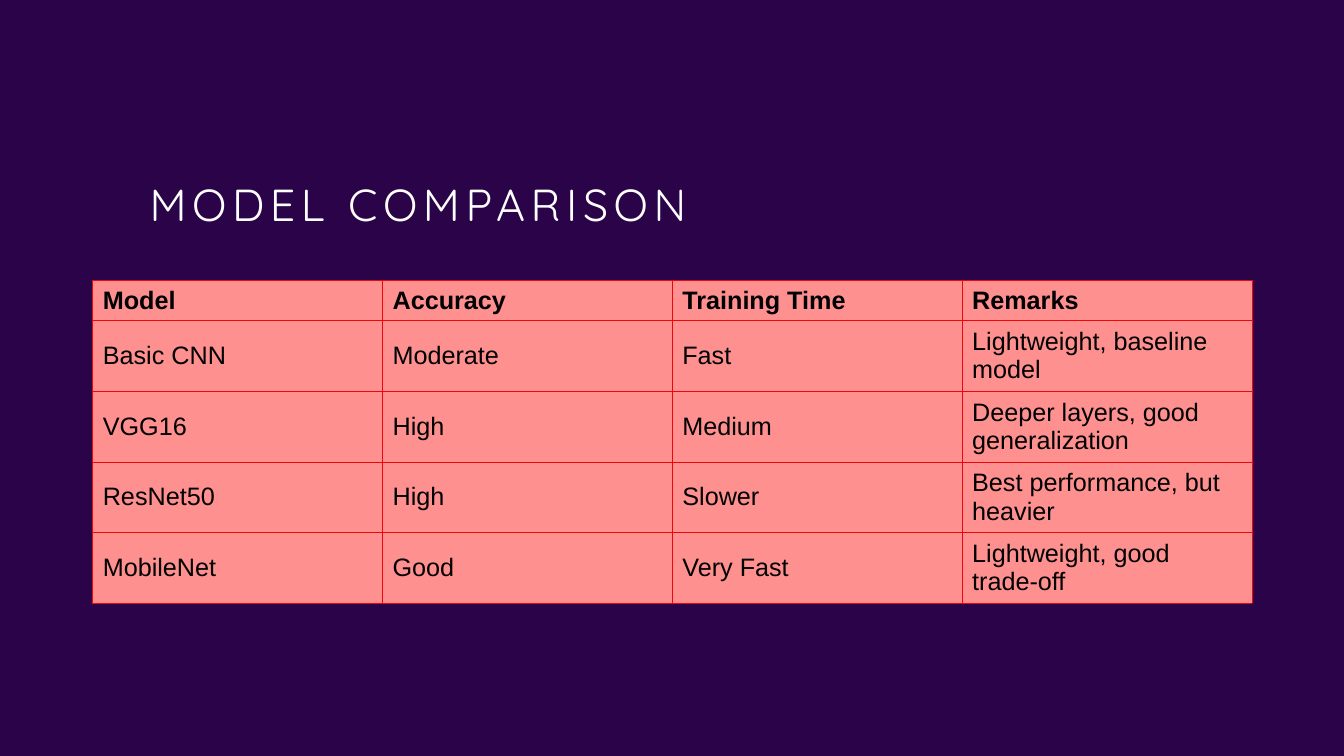
import dataclasses
import pptx
import pptx.dml.color
import pptx.enum.text
import pptx.oxml
import pptx.oxml.ns
import pptx.util

Pt = pptx.util.Pt


@dataclasses.dataclass
class Row:
    model: str
    score: str
    time: str
    note: str
    high: float = 47.45
    bold: bool = False


ROWS = [
    Row("Model", "Accuracy", "Training Time", "Remarks", 27.1, True),
    Row("Basic CNN", "Moderate", "Fast", "Lightweight, baseline model"),
    Row("VGG16", "High", "Medium", "Deeper layers, good generalization"),
    Row("ResNet50", "High", "Slower", "Best performance, but heavier"),
    Row("MobileNet", "Good", "Very Fast", "Lightweight, good trade-off"),
]
TITLE = {"name": "Quicksand", "size": Pt(32), "bold": False}
BODY = {"name": "Arial", "size": Pt(18)}
WIDE = 207


def tint(code: str) -> pptx.dml.color.RGBColor:
    return pptx.dml.color.RGBColor.from_string(code)


def style(font, look: dict, code: str) -> None:
    for key, value in look.items():
        setattr(font, key, value)
    font.color.rgb = tint(code)


def edge(cell, code: str, width: float) -> None:
    props = cell._tc.get_or_add_tcPr()
    for spot, side in enumerate(("lnL", "lnR", "lnT", "lnB")):
        line = pptx.oxml.parse_xml(
            f'<a:{side} {pptx.oxml.ns.nsdecls("a")} w="{Pt(width)}">'
            f'<a:solidFill><a:srgbClr val="{code}"/></a:solidFill></a:{side}>'
        )
        props.insert(spot, line)


def add_title(slide, text: str) -> None:
    box = slide.shapes.add_textbox(Pt(-12.24), Pt(126.72), Pt(622.08), Pt(97.2))
    box.text_frame.word_wrap = True
    para = box.text_frame.paragraphs[0]
    para.alignment = pptx.enum.text.PP_ALIGN.CENTER
    para.line_spacing = 0.9
    run = para.add_run()
    run.text = text
    style(run.font, TITLE, "FFFFFF")
    run.font._element.set("spc", "400")


def add_grid(slide, rows: list[Row]) -> None:
    high = sum(row.high for row in rows)
    grid = slide.shapes.add_table(
        len(rows), 4, Pt(66.24), Pt(200.2), Pt(4 * WIDE), Pt(high)
    ).table
    for col in grid.columns:
        col.width = Pt(WIDE)
    for line, row in zip(grid.rows, rows):
        line.height = Pt(row.high)
        texts = (row.model, row.score, row.time, row.note)
        for cell, text in zip(line.cells, texts):
            cell.fill.solid()
            cell.fill.fore_color.rgb = tint("FF9090")
            cell.vertical_anchor = pptx.enum.text.MSO_ANCHOR.MIDDLE
            edge(cell, "EF050C", 0.5)
            para = cell.text_frame.paragraphs[0]
            run = para.add_run()
            run.text = text
            style(run.font, BODY | {"bold": row.bold}, "000000")


def main() -> None:
    deck = pptx.Presentation()
    deck.slide_width, deck.slide_height = Pt(960), Pt(540)
    slide = deck.slides.add_slide(deck.slide_layouts[6])
    slide.background.fill.solid()
    slide.background.fill.fore_color.rgb = tint("2B0348")
    add_title(slide, "MODEL COMPARISON")
    add_grid(slide, ROWS)
    deck.save("out.pptx")


if __name__ == "__main__":
    main()
